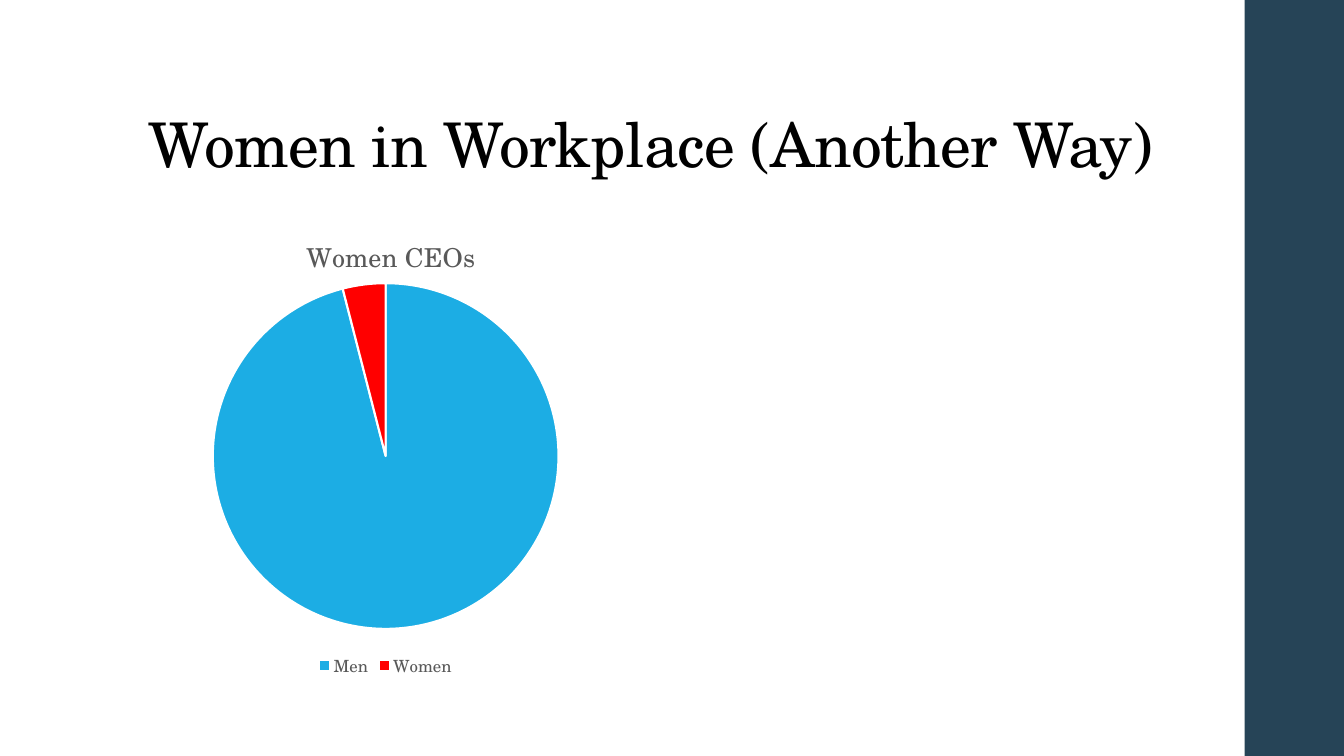
"""Build a slide with a pie chart of women CEOs."""
import pptx
import pptx.chart.data
import pptx.dml.color
import pptx.enum.chart
import pptx.enum.shapes
import pptx.enum.text
import pptx.oxml
import pptx.oxml.ns
import pptx.util

Pt = pptx.util.Pt
RGB = pptx.dml.color.RGBColor
NAVY = RGB(0x26, 0x44, 0x57)
BLACK = RGB(0, 0, 0)
GREY = RGB(0x59, 0x59, 0x59)
BLUE = RGB(0x1C, 0xAD, 0xE4)
RED = RGB(0xFF, 0, 0)
WHITE = RGB(0xFF, 0xFF, 0xFF)


class Page:
    def __init__(self, slide, face):
        self.slide = slide
        self.face = face

    def style(self, font, size, color):
        font.name = self.face
        font.size = Pt(size)
        font.bold = False
        font.color.rgb = color

    def band(self, box, color):
        kind = pptx.enum.shapes.MSO_SHAPE.RECTANGLE
        band = self.slide.shapes.add_shape(kind, *map(Pt, box))
        band.shadow.inherit = False
        band.fill.solid()
        band.fill.fore_color.rgb = color
        band.line.fill.background()

    def title(self, box, text):
        frame = self.slide.shapes.add_textbox(*map(Pt, box)).text_frame
        frame.word_wrap = True
        frame.vertical_anchor = pptx.enum.text.MSO_ANCHOR.BOTTOM
        para = frame.paragraphs[0]
        para.line_spacing = 0.9
        run = para.add_run()
        run.text = text
        self.style(run.font, 44, BLACK)
        run._r.get_or_add_rPr().set("spc", "-50")

    def place(self, host, index, **spots):
        for old in host.findall(pptx.oxml.ns.qn("c:layout")):
            host.remove(old)
        inner = '<c:layoutTarget val="inner"/>' if "w" in spots else ""
        modes = "".join(f'<c:{key}Mode val="edge"/>' for key in "xy")
        sizes = "".join(f'<c:{key} val="{val}"/>' for key, val in spots.items())
        host.insert(index, pptx.oxml.parse_xml(
            f'<c:layout {pptx.oxml.ns.nsdecls("c")}><c:manualLayout>'
            f"{inner}{modes}{sizes}</c:manualLayout></c:layout>"))

    def pie(self, box, head, shares, colors):
        data = pptx.chart.data.CategoryChartData()
        data.categories = list(shares)
        data.add_series("Series 1", list(shares.values()))
        kind = pptx.enum.chart.XL_CHART_TYPE.PIE
        chart = self.slide.shapes.add_chart(kind, *map(Pt, box), data).chart
        self.style(chart.font, 10, BLACK)
        chart.has_title = True
        run = chart.chart_title.text_frame.paragraphs[0].add_run()
        run.text = head
        self.style(run.font, 18.6, GREY)
        self.place(chart.chart_title.element, 1, x=0.33, y=0.06)
        area = chart.element.find(".//" + pptx.oxml.ns.qn("c:plotArea"))
        self.place(area, 0, x=0.15, y=0.17, w=0.7, h=0.72)
        chart.has_legend = True
        chart.legend.position = pptx.enum.chart.XL_LEGEND_POSITION.BOTTOM
        chart.legend.include_in_layout = False
        self.style(chart.legend.font, 12, GREY)
        plot = chart.plots[0]
        plot.vary_by_categories = True
        for index, color in enumerate(colors):
            look = plot.series[0].points[index].format
            look.fill.solid()
            look.fill.fore_color.rgb = color
            look.line.color.rgb = WHITE
            look.line.width = Pt(1.5)


def main():
    deck = pptx.Presentation()
    deck.slide_width = Pt(960)
    deck.slide_height = Pt(540)
    page = Page(deck.slides.add_slide(deck.slide_layouts[6]), "TeX Gyre Schola")
    page.band((889, 0, 72, 540), NAVY)
    page.title((99, 29, 763, 104), "Women in Workplace (Another Way)")
    page.pie((99, 144, 353, 343), "Women CEOs", {"Men": 96, "Women": 4}, (BLUE, RED))
    deck.save("out.pptx")


if __name__ == "__main__":
    main()
